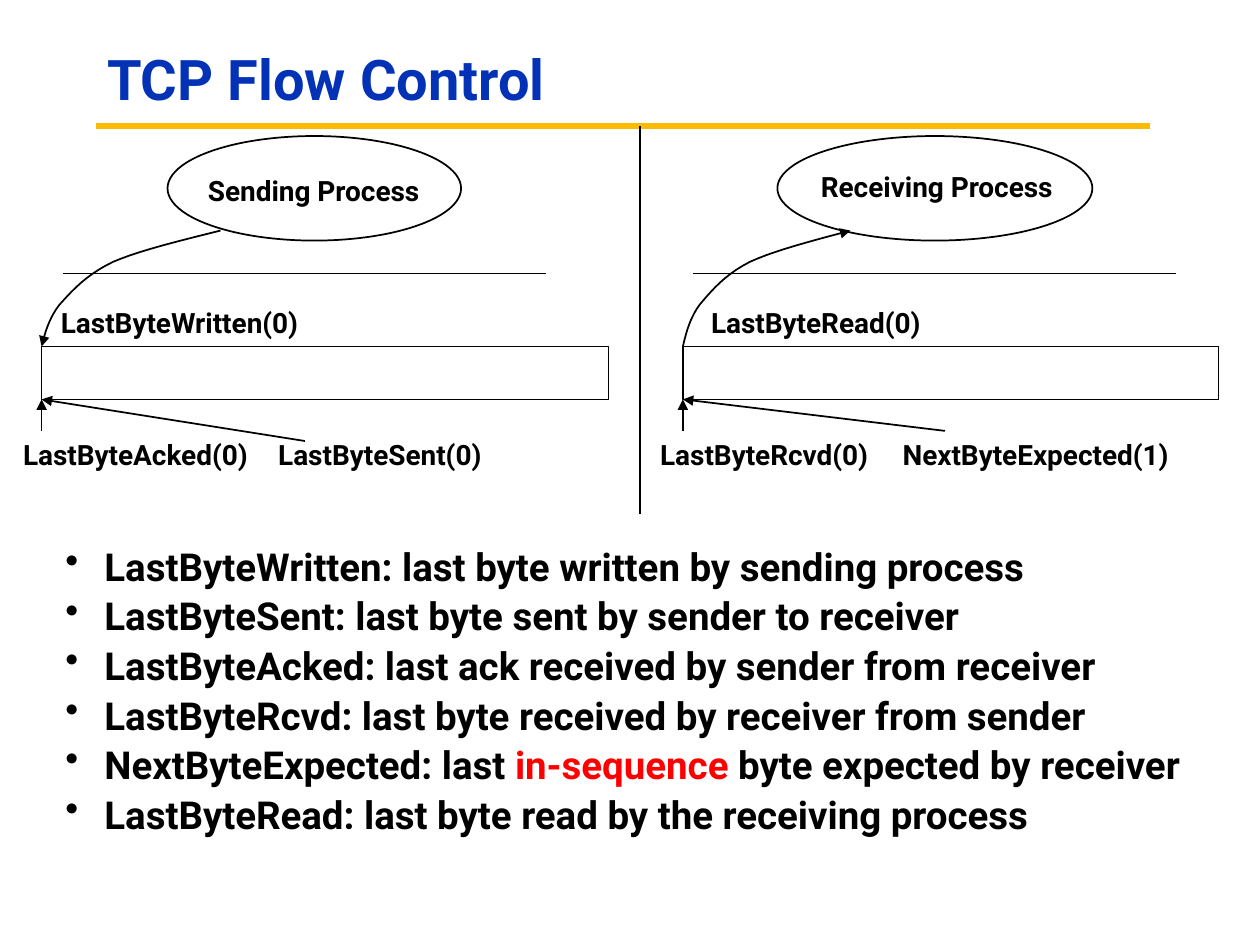
from pptx import Presentation
from pptx.dml.color import RGBColor
from pptx.enum.shapes import MSO_CONNECTOR, MSO_SHAPE
from pptx.enum.text import MSO_ANCHOR, MSO_AUTO_SIZE, PP_ALIGN
from pptx.oxml.ns import qn
from pptx.util import Inches, Pt
from lxml.etree import SubElement

COLORS = {"title": "0332B7", "rule": "FBBA03", "ink": "000000", "accent": "FF0000"}

# Cubic curve as fractions of its box: a start, then three points per segment.
CURVE = [(1, 0), (.77, .09), (.55, .17), (.4, .27), (.25, .38), (.17, .52),
         (.1, .64), (.04, .76), (.02, .88), (0, 1)]


def trace(points, steps=10):
    """Return points along a chain of cubic Bezier segments."""
    out = [points[0]]
    for i in range(0, len(points) - 1, 3):
        for n in range(1, steps + 1):
            t = n / steps
            mix = ((1 - t) ** 3, 3 * t * (1 - t) ** 2, 3 * t * t * (1 - t), t ** 3)
            out.append(tuple(sum(m * p[axis] for m, p in zip(mix, points[i:i + 4]))
                             for axis in (0, 1)))
    return out


class Deck:
    face = "Roboto"

    def __init__(self):
        self.show = Presentation()
        self.show.slide_width, self.show.slide_height = Inches(10), Inches(7.5)
        self.slide = self.show.slides.add_slide(self.show.slide_layouts[5])
        self.shapes = self.slide.shapes

    def font(self, font, size, color="ink"):
        font.name, font.size, font.bold = self.face, Pt(size), True
        font.color.rgb = RGBColor.from_string(COLORS[color])

    def stroke(self, line, color="ink", width=1, end=None):
        """Style a line; end is headEnd or tailEnd for an arrow."""
        line.color.rgb = RGBColor.from_string(COLORS[color])
        line.width = Pt(width)
        if end:
            SubElement(line._get_or_add_ln(), qn("a:" + end), type="triangle")

    def title(self, text, *box):
        shape = self.shapes.title
        shape.left, shape.top, shape.width, shape.height = map(Inches, box)
        frame = shape.text_frame
        frame.text, frame.auto_size = text, MSO_AUTO_SIZE.NONE
        frame.vertical_anchor = MSO_ANCHOR.MIDDLE
        para = frame.paragraphs[0]
        para.alignment, para.line_spacing = PP_ALIGN.LEFT, 0.9
        self.font(para.font, 32, "title")

    def line(self, x1, y1, x2, y2, color="ink", width=1, end=None):
        link = self.shapes.add_connector(
            MSO_CONNECTOR.STRAIGHT, *map(Inches, (x1, y1, x2, y2)))
        self.stroke(link.line, color, width, end)
        SubElement(link._element.spPr, qn("a:effectLst"))

    def outline(self, kind, *box):
        shape = self.shapes.add_shape(kind, *map(Inches, box))
        shape.shadow.inherit = False
        shape.fill.background()
        self.stroke(shape.line)

    def curve(self, left, top, width, height, end):
        first, *rest = [(Inches(left + width * x), Inches(top + height * y))
                        for x, y in trace(CURVE)]
        pen = self.shapes.build_freeform(*first)
        pen.add_line_segments(rest, close=False)
        shape = pen.convert_to_shape()
        shape.shadow.inherit = False
        shape.fill.background()
        self.stroke(shape.line, end=end)

    def label(self, text, left, top, width):
        box = self.shapes.add_textbox(*map(Inches, (left, top, width, 0.37)))
        frame = box.text_frame
        frame.text, frame.word_wrap = text, False
        para = frame.paragraphs[0]
        para.alignment = PP_ALIGN.CENTER
        self.font(para.font, 16)

    def bullets(self, items, *box):
        """Each item is a list of (text, color) runs."""
        frame = self.shapes.add_textbox(*map(Inches, box)).text_frame
        frame.word_wrap = True
        for i, runs in enumerate(items):
            para = frame.add_paragraph() if i else frame.paragraphs[0]
            props = para._p.get_or_add_pPr()
            props.set("marL", str(Inches(0.31)))
            props.set("indent", str(Inches(-0.31)))
            para.line_spacing = 0.8
            if i:
                para.space_before = Pt(7.2)
            SubElement(props, qn("a:buChar"), char="•")
            self.font(para.font, 22)
            for text, color in runs:
                run = para.add_run()
                run.text = text
                self.font(run.font, 22, color)


def main():
    deck = Deck()
    deck.line(0.76, 1, 9.13, 1, "rule", 3.75)
    deck.title("TCP Flow Control", 0.75, 0.25, 8.42, 0.81)
    deck.line(5.08, 1, 5.08, 4.08)

    # Per side: buffer left and width, oval left and width, curve width and
    # arrow end, rule left, and start of the slanted arrow.
    sides = [(0.33, 4.5, 1.33, 2.33, 1.42, "tailEnd", 0.5, (2.42, 3.5)),
             (5.42, 4.25, 6.17, 2.5, 1.33, "headEnd", 5.5, (7.5, 3.42))]
    for left, width, oval, span, reach, end, rule, start in sides:
        deck.outline(MSO_SHAPE.OVAL, oval, 1.08, span, 0.83)
        deck.line(rule, 2.17, rule + 3.83, 2.17)
        deck.outline(MSO_SHAPE.RECTANGLE, left, 2.75, width, 0.42)
        deck.curve(left, 1.83, reach, 0.92, end)
        deck.line(left, 3.42, left, 3.17, end="tailEnd")
        deck.line(*start, left, 3.17, end="tailEnd")

    labels = [("Sending Process", 1.48, 1.33, 2.02),
              ("LastByteWritten(0)", 0.33, 2.38, 2.19),
              ("LastByteAcked(0)", 0.03, 3.42, 2.09),
              ("LastByteSent(0)", 2.06, 3.42, 1.91),
              ("Receiving Process", 6.34, 1.3, 2.19),
              ("LastByteRead(0)", 5.49, 2.38, 1.97),
              ("LastByteRcvd(0)", 5.08, 3.42, 1.97),
              ("NextByteExpected(1)", 7, 3.42, 2.44)]
    for item in labels:
        deck.label(*item)

    deck.bullets([
        [("LastByteWritten: last byte written by sending process", "ink")],
        [("LastByteSent: last byte sent by sender to receiver", "ink")],
        [("LastByteAcked: last ack received by sender from receiver", "ink")],
        [("LastByteRcvd: last byte received by receiver from sender", "ink")],
        [("NextByteExpected: last ", "ink"), ("in-sequence ", "accent"),
         ("byte expected by receiver", "ink")],
        [("LastByteRead: last byte read by the receiving process", "ink")],
    ], 0.42, 4.33, 9.58, 2.58)
    deck.show.save("out.pptx")


if __name__ == "__main__":
    main()
